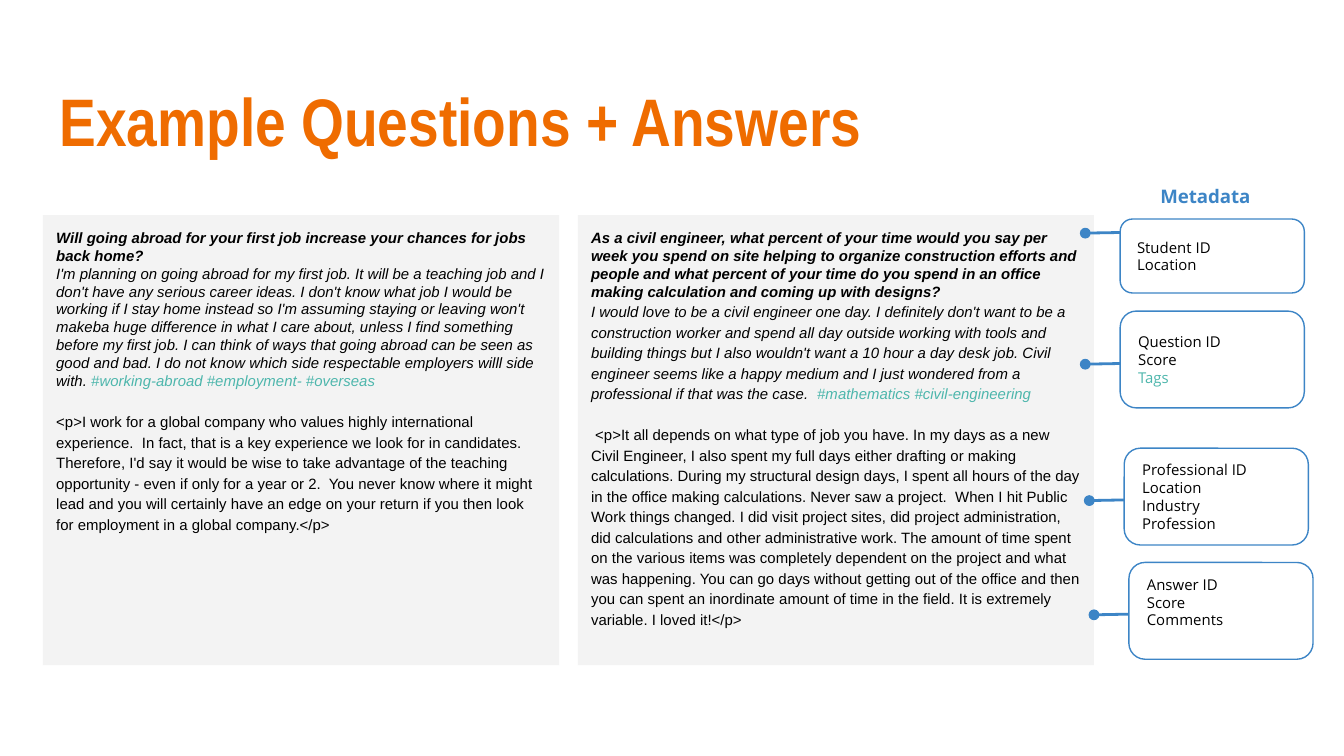
from lxml import etree
from pptx import Presentation
from pptx import util as u
from pptx.dml.color import RGBColor
from pptx.enum import shapes, text
from pptx.oxml.ns import qn

PX = 4572
THEME = {
    "orange": RGBColor.from_string("EF6C00"),
    "blue": RGBColor.from_string("3D85C6"),
    "teal": RGBColor.from_string("4DB6AC"),
    "panel": RGBColor.from_string("F3F3F3"),
    "white": RGBColor.from_string("FFFFFF"),
    "black": RGBColor.from_string("000000"),
    "title": {"name": "Arial Narrow", "size": u.Pt(36), "bold": True},
    "heading": {"name": "Open Sans", "size": u.Pt(10), "bold": True},
    "label": {"name": "Open Sans", "size": u.Pt(8)},
    "question": {"name": "Arial", "size": u.Pt(8), "bold": True, "italic": True},
    "detail": {"name": "Arial", "size": u.Pt(8), "italic": True},
    "answer": {"name": "Arial", "size": u.Pt(8)},
}

deck = Presentation()
deck.slide_width, deck.slide_height = 2000 * PX, 1125 * PX
page = deck.slides.add_slide(deck.slide_layouts[6])


def write(box, paragraphs, anchor=text.MSO_ANCHOR.TOP, bottom=20):
    frame = box.text_frame
    frame_format = {
        "word_wrap": True, "vertical_anchor": anchor,
        "margin_left": 20 * PX, "margin_right": 20 * PX,
        "margin_top": 20 * PX, "margin_bottom": bottom * PX,
    }
    for name, value in frame_format.items():
        setattr(frame, name, value)
    for index, (spans, para_format) in enumerate(paragraphs):
        para = frame.add_paragraph() if index else frame.paragraphs[0]
        para.alignment = text.PP_ALIGN.LEFT
        for name, value in para_format.items():
            setattr(para, name, value)
        for words, style, colour in spans:
            span = para.add_run()
            span.text = words
            for name, value in THEME[style].items():
                setattr(span.font, name, value)
            span.font.color.rgb = THEME[colour]


def add_box(kind, place, fill, outline=None):
    box = page.shapes.add_shape(kind, *[value * PX for value in place])
    box.shadow.inherit = False
    box.fill.solid()
    box.fill.fore_color.rgb = THEME[fill]
    if outline:
        box.line.color.rgb = THEME[outline]
        box.line.width = u.Pt(0.75)
    else:
        box.line.fill.background()
    return box


headings = [
    ("Example Questions + Answers", (69, 98, 1864, 154), "title", "orange"),
    ("Metadata", (1707, 258, 180, 80), "heading", "blue"),
]
for words, place, style, colour in headings:
    box = page.shapes.add_textbox(*[value * PX for value in place])
    write(box, [([(words, style, colour)], {})])

examples = [
    (
        "Will going abroad for your first job increase your chances for jobs back home?",
        "I'm planning on going abroad for my first job. It will be a teaching job and I "
        "don't have any serious career ideas. I don't know what job I would be working if "
        "I stay home instead so I'm assuming staying or leaving won't makeba huge "
        "difference in what I care about, unless I find something before my first job. I "
        "can think of ways that going abroad can be seen as good and bad. I do not know "
        "which side respectable employers willl side with. ",
        "#working-abroad #employment- #overseas",
        "<p>I work for a global company who values highly international experience.  In "
        "fact, that is a key experience we look for in candidates.  Therefore, I'd say it "
        "would be wise to take advantage of the teaching opportunity - even if only for a "
        "year or 2.  You never know where it might lead and you will certainly have an "
        "edge on your return if you then look for employment in a global company.</p>",
        1.0,
    ),
    (
        "As a civil engineer, what percent of your time would you say per week you spend "
        "on site helping to organize construction efforts and people and what percent of "
        "your time do you spend in an office making calculation and coming up with designs?",
        "I would love to be a civil engineer one day. I definitely don't want to be a "
        "construction worker and spend all day outside working with tools and building "
        "things but I also wouldn't want a 10 hour a day desk job. Civil engineer seems "
        "like a happy medium and I just wondered from a professional if that was the case.  ",
        "#mathematics #civil-engineering",
        " <p>It all depends on what type of job you have. In my days as a new Civil "
        "Engineer, I also spent my full days either drafting or making calculations. "
        "During my structural design days, I spent all hours of the day in the office "
        "making calculations. Never saw a project.  When I hit Public Work things changed. "
        "I did visit project sites, did project administration, did calculations and other "
        "administrative work. The amount of time spent on the various items was completely "
        "dependent on the project and what was happening. You can go days without getting "
        "out of the office and then you can spent an inordinate amount of time in the "
        "field. It is extremely variable. I loved it!</p>",
        1.15,
    ),
]
for column, (question, detail, tags, answer, spacing) in enumerate(examples):
    panel = add_box(shapes.MSO_SHAPE.RECTANGLE, (64 + 796 * column, 320, 768, 670), "panel")
    write(panel, [
        ([(question, "question", "black")], {}),
        ([(detail, "detail", "black"), (tags, "detail", "teal")], {"line_spacing": spacing}),
        ([(answer, "answer", "black")], {"line_spacing": 1.15, "space_before": u.Pt(11)}),
    ])

cards = [
    (1667, 326, 110, 346, 347, 20, ["Student ID", "Location"]),
    (1667, 463, 144, 541, 542, 20, ["Question ID", "Score", "Tags"]),
    (1673, 667, 144, 744, 745, 20, ["Professional ID", "Location", "Industry", "Profession"]),
    (1680, 837, 144, 914, 915, 46, ["Answer ID", "Score", "Comments"]),
]
for left, top, height, start, end, bottom, labels in cards:
    card = add_box(shapes.MSO_SHAPE.ROUNDED_RECTANGLE, (left, top, 274, height), "white", "blue")
    write(card, [([(label, "label", "teal" if label == "Tags" else "black")], {})
                 for label in labels], text.MSO_ANCHOR.MIDDLE, bottom)
    ends = [value * PX for value in (left, start, left - 54, end)]
    link = page.shapes.add_connector(shapes.MSO_CONNECTOR.STRAIGHT, *ends)
    link.line.color.rgb = THEME["blue"]
    link.line.width = u.Pt(1.5)
    etree.SubElement(link.element.spPr, qn("a:effectLst"))
    add_box(shapes.MSO_SHAPE.OVAL, (left - 59, end - 7, 14, 14), "blue", "blue")

deck.save("out.pptx")
